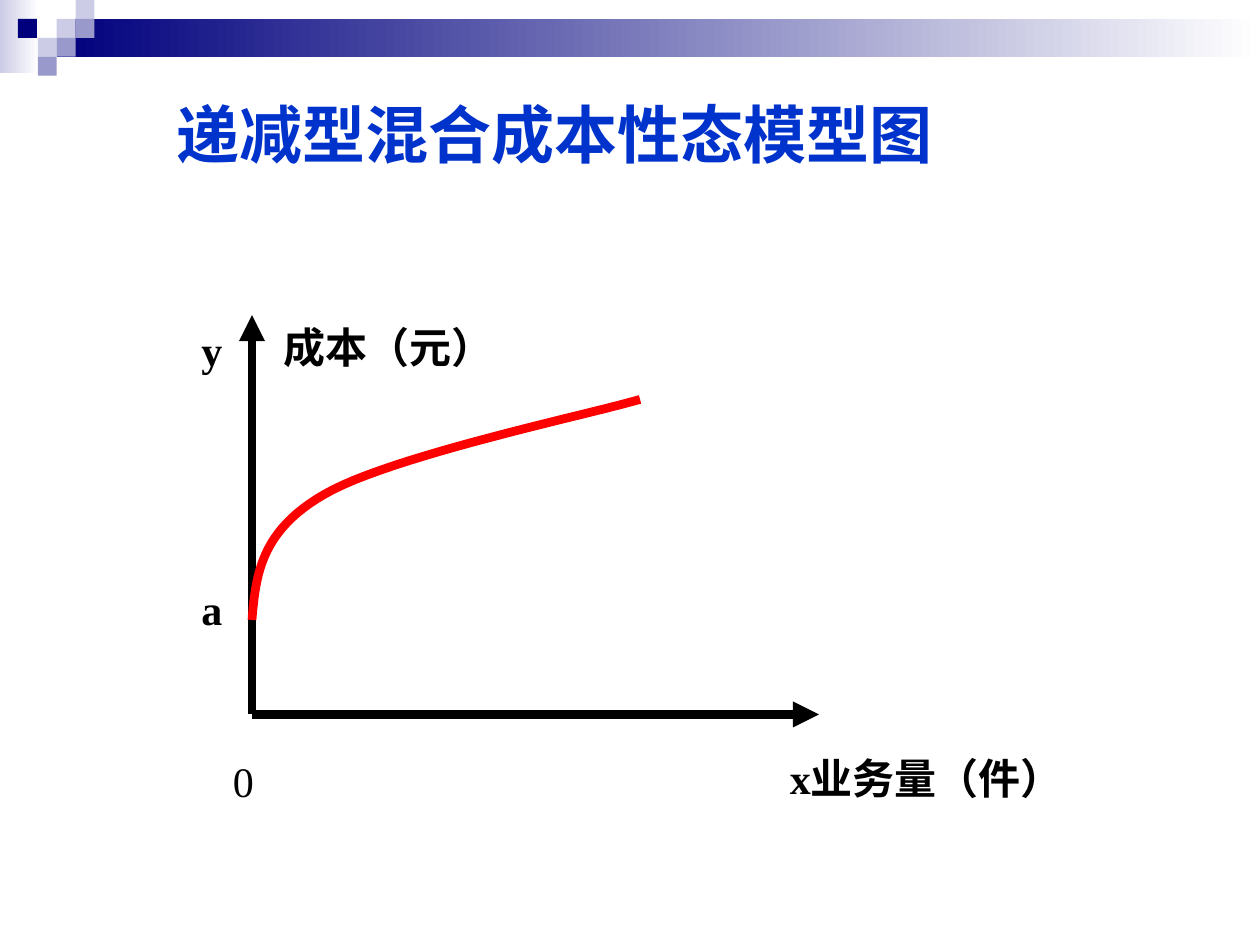
from lxml import etree
from pptx import Presentation
from pptx.dml.color import RGBColor
from pptx.enum.shapes import MSO_CONNECTOR, MSO_SHAPE
from pptx.enum.text import MSO_ANCHOR
from pptx.oxml.ns import qn
from pptx.util import Inches, Pt

COLORS = {"navy": "00007D", "mid": "9999CC", "pale": "CCCCE6", "white": "FFFFFF",
          "title": "0033CC", "axis": "000000", "curve": "FF0000"}
LATIN, CJK = "Times New Roman", "Noto Sans CJK SC"

# left, top, width, height, colour fading to white
BANDS = [(0, 0, 0.31, 0.58, "pale"), (0.45, 0.15, 9.55, 0.3, "navy")]
# column, row, colour on the square grid
SQUARE = 0.15
SQUARES = [(3, 1, "pale"), (4, 0, "pale"), (4, 1, "mid"), (2, 2, "pale"),
           (0.95, 1, "navy"), (3, 2, "mid"), (2, 3, "mid")]

TITLE = "递减型混合成本性态模型图"
# text, left, top, width, bold
LABELS = [("a", 1.5, 4.58, 0.5, True), ("0", 1.75, 5.95, 0.5, False),
          ("x业务量（件）", 6.17, 5.92, 2.77, True),
          ("y", 1.5, 2.53, 0.5, True), ("成本（元）", 2.15, 2.5, 2.18, True)]

ORIGIN = (2, 5.67)
AXIS_ENDS = [(6.5, 5.67), (2, 2.5)]
COST_CURVE = [[(2, 4.92), (2.03, 4.56), (2.07, 4.21), (2.58, 3.92)],
              [(2.58, 3.92), (3.1, 3.62), (4.67, 3.29), (5.08, 3.17)]]
STEPS = 24


def rgb(name):
    return RGBColor.from_string(COLORS[name])


def add_rect(slide, left, top, width, height):
    s = slide.shapes.add_shape(MSO_SHAPE.RECTANGLE, *map(Inches, (left, top, width, height)))
    s.shadow.inherit = False
    s.line.fill.background()
    return s


def add_band(slide, left, top, width, height, color):
    fill = add_rect(slide, left, top, width, height).fill
    fill.gradient()
    fill.gradient_angle = 0
    for stop, name, position in zip(fill.gradient_stops, (color, "white"), (0, 1)):
        stop.color.rgb = rgb(name)
        stop.position = position


def add_text(slide, text, left, top, width, height, size, font, color, bold):
    tb = slide.shapes.add_textbox(*map(Inches, (left, top, width, height)))
    tf = tb.text_frame
    tf.word_wrap = True
    tf.text = text
    r = tf.paragraphs[0].runs[0]
    r.font.size, r.font.name, r.font.bold = Pt(size), font, bold
    r.font.color.rgb = rgb(color)
    etree.SubElement(r.font._element, qn("a:ea")).set("typeface", CJK)
    return tf


def add_axis(slide, start, end):
    s = slide.shapes.add_connector(MSO_CONNECTOR.STRAIGHT, *map(Inches, start + end))
    s.line.color.rgb = rgb("axis")
    s.line.width = Pt(5)
    etree.SubElement(s.line._get_or_add_ln(), qn("a:tailEnd")).set("type", "triangle")
    etree.SubElement(s._element.spPr, qn("a:effectLst"))


def bezier(points, t):
    weights = ((1 - t) ** 3, 3 * t * (1 - t) ** 2, 3 * t ** 2 * (1 - t), t ** 3)
    return tuple(Inches(sum(w * v for w, v in zip(weights, axis))) for axis in zip(*points))


def add_curve(slide, segments):
    points = [bezier(seg, i / STEPS) for seg in segments for i in range(STEPS + 1)]
    builder = slide.shapes.build_freeform(*points[0])
    builder.add_line_segments(points[1:], close=False)
    s = builder.convert_to_shape()
    s.shadow.inherit = False
    s.fill.background()
    s.line.color.rgb = rgb("curve")
    s.line.width = Pt(5)


def main():
    prs = Presentation()
    prs.slide_width, prs.slide_height = Inches(10), Inches(7.5)
    slide = prs.slides.add_slide(prs.slide_layouts[6])

    for band in BANDS:
        add_band(slide, *band)
    for col, row, color in SQUARES:
        s = add_rect(slide, col * SQUARE, row * SQUARE, SQUARE, SQUARE)
        s.fill.solid()
        s.fill.fore_color.rgb = rgb(color)

    tf = add_text(slide, TITLE, 1.3, 0.65, 8.11, 0.82, 36, CJK, "title", True)
    tf.vertical_anchor = MSO_ANCHOR.MIDDLE
    for end in AXIS_ENDS:
        add_axis(slide, ORIGIN, end)
    for text, left, top, width, bold in LABELS:
        add_text(slide, text, left, top, width, 0.5, 24, LATIN, "axis", bold)
    add_curve(slide, COST_CURVE)

    prs.save("out.pptx")


if __name__ == "__main__":
    main()
